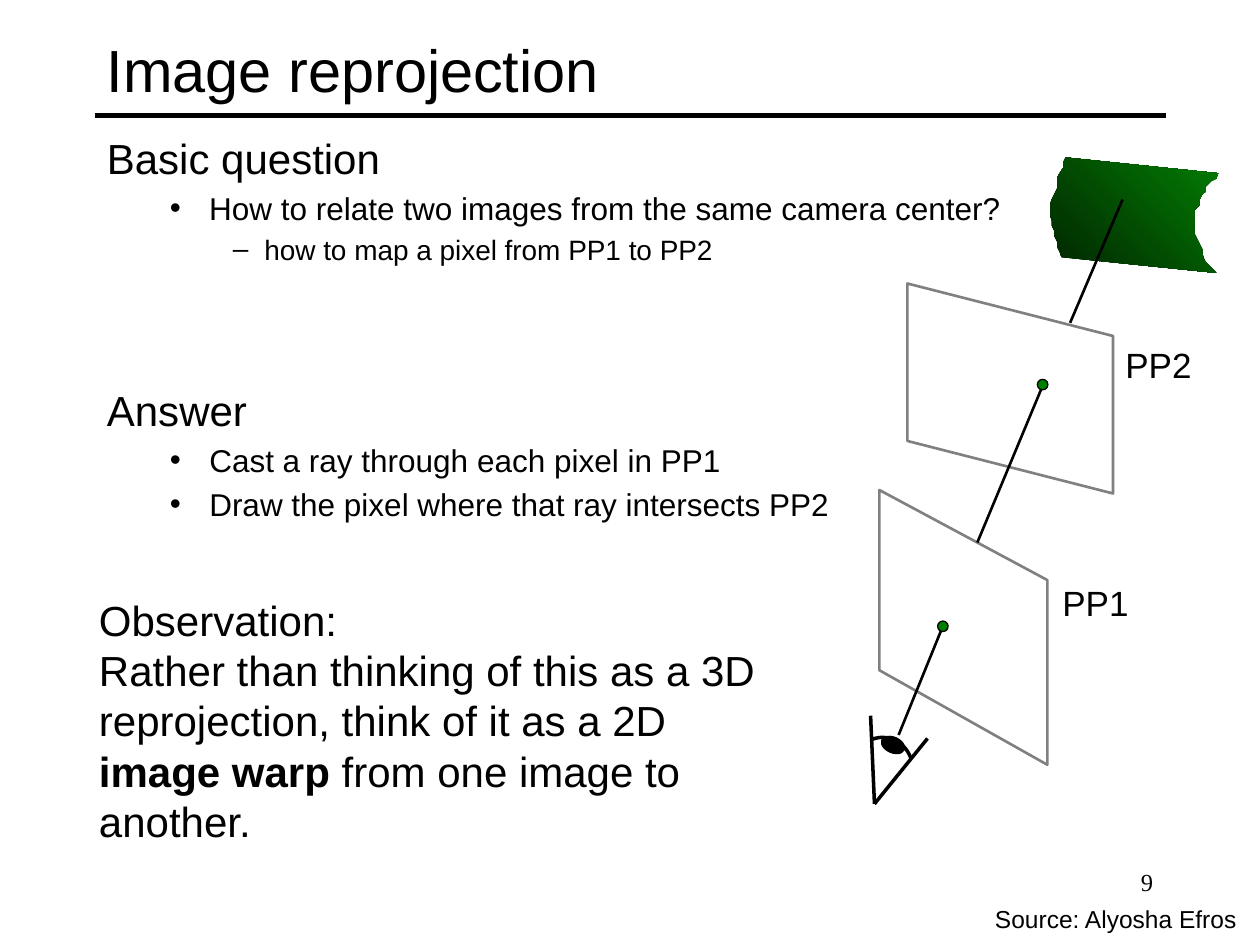
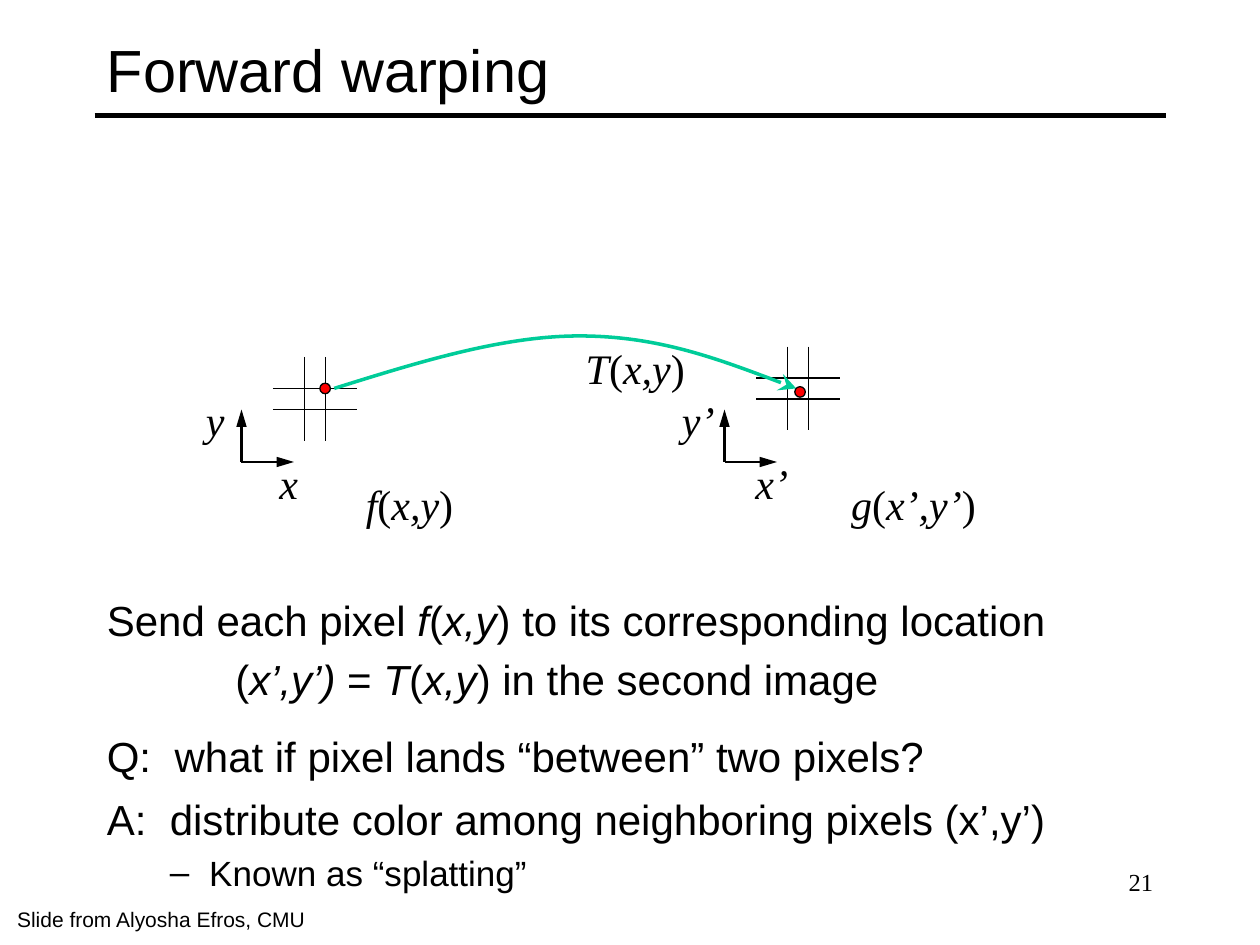
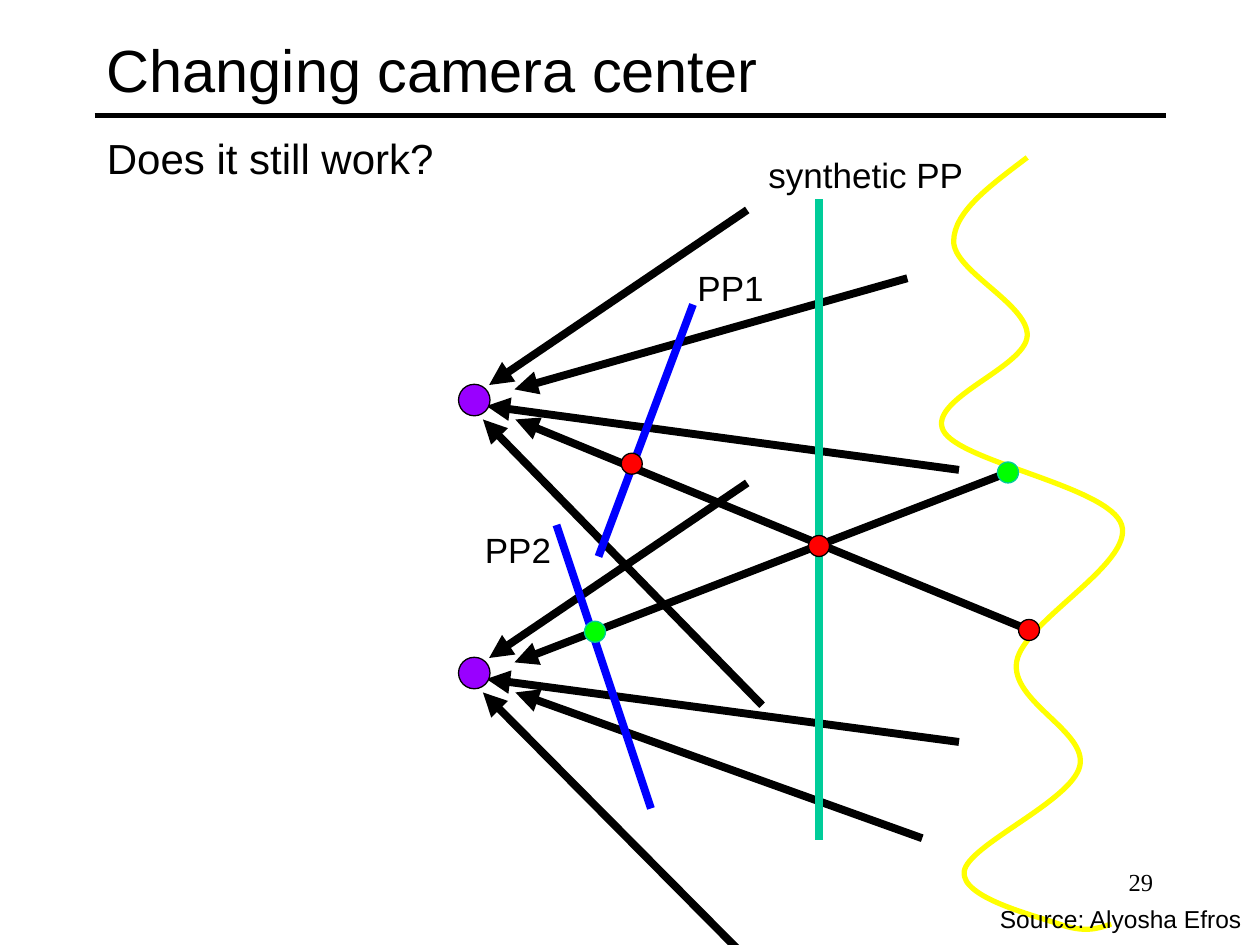
from lxml.etree import SubElement
from pptx import Presentation
from pptx.dml.color import RGBColor as RGB
from pptx.enum.shapes import MSO_CONNECTOR as LINK, MSO_SHAPE as SHAPE
from pptx.enum.text import MSO_ANCHOR as ANCHOR, PP_ALIGN as ALIGN
from pptx.oxml.ns import qn
from pptx.util import Pt

# Shared style
BLACK = RGB(0x00, 0x00, 0x00)
WHITE = RGB(0xFF, 0xFF, 0xFF)
GREY = RGB(0x80, 0x80, 0x80)
RED = RGB(0xFF, 0x00, 0x00)
GREEN = RGB(0x00, 0x80, 0x00)
LIME = RGB(0x00, 0xFF, 0x00)
TEAL = RGB(0x00, 0xCC, 0x99)
BLUE = RGB(0x00, 0x00, 0xFF)
PURPLE = RGB(0x99, 0x00, 0xFF)
YELLOW = RGB(0xFF, 0xFF, 0x00)
DARK = RGB(0x01, 0x25, 0x01)
LEAF = RGB(0x03, 0x7C, 0x03)
SANS, SERIF = "Arial", "Times New Roman"

# Outline levels of the body text
HEAD = dict(size=24, left=27, hang=27, gap=0.22)
ITEM = dict(size=18, left=58.5, hang=22.5, gap=0.2, bullet="•")
SUB = dict(size=16, left=90, hang=18, gap=0.2, bullet="–")
MATH = dict(size=24, font=SERIF, align=ALIGN.CENTER)

# Arrowheads
RAY = dict(type="triangle")
AXIS = dict(type="triangle", w="med", len="lg")
BARB = dict(type="stealth", w="lg", len="lg")


def write(frame, text, size=24, font=SANS, mark="italic", bullet=None,
          left=0, hang=0, gap=0, align=ALIGN.LEFT):
    """Add one paragraph; words between asterisks get the marked style."""
    para = frame.paragraphs[0]
    if para.runs:
        para = frame.add_paragraph()
        para.space_before = Pt(gap * size)
    props = para._p.get_or_add_pPr()
    props.set("marL", str(Pt(left)))
    props.set("indent", str(-Pt(hang)))
    if bullet:
        SubElement(props, qn("a:buFont"), typeface=SANS)
        SubElement(props, qn("a:buChar"), char=bullet)
    else:
        SubElement(props, qn("a:buNone"))
    para.alignment = align
    for i, part in enumerate(text.split("*")):
        if part:
            run = para.add_run()
            run.text = part
            run.font.size, run.font.name = Pt(size), font
            run.font.color.rgb = BLACK
            setattr(run.font, mark, i % 2 == 1)


class Deck:
    def __init__(self):
        self.prs = Presentation()
        self.prs.slide_width, self.prs.slide_height = Pt(720), Pt(540)

    def start(self, title, number):
        """New slide with title, rule and number."""
        self.shapes = self.prs.slides.add_slide(self.prs.slide_layouts[6]).shapes
        self.line((54, 66), (666, 66), width=3)
        frame = self.box(54, 6, 612, 66, anchor=ANCHOR.MIDDLE)
        write(frame, title, size=34)
        self.text(number, 516, 492, 150, 36, size=14, font=SERIF, align=ALIGN.RIGHT)

    def box(self, x, y, w, h, wrap=True, anchor=ANCHOR.TOP):
        frame = self.shapes.add_textbox(Pt(x), Pt(y), Pt(w), Pt(h)).text_frame
        frame.word_wrap, frame.vertical_anchor = wrap, anchor
        return frame

    def text(self, text, x, y, w, h, wrap=True, **form):
        write(self.box(x, y, w, h, wrap), text, **form)

    def label(self, text, x, y, w=52.5):
        self.text(text, x, y, w, 31, wrap=False, size=20)

    def source(self, x):
        self.text("Source: Alyosha Efros", x, 513, 201.5, 24.5, size=14)

    def list(self, x, y, w, h, *rows):
        frame = self.box(x, y, w, h)
        for text, form in rows:
            write(frame, text, **form)

    def paint(self, shape, fill, color, width, arrow=None):
        if fill:
            shape.fill.solid()
            shape.fill.fore_color.rgb = fill
        else:
            shape.fill.background()
        shape.shadow.inherit = False
        self.stroke(shape, color, width, arrow)

    def stroke(self, shape, color, width, arrow):
        if not color:
            shape.line.fill.background()
            return
        shape.line.color.rgb, shape.line.width = color, Pt(width)
        if arrow:
            SubElement(shape.element.spPr.find(qn("a:ln")), qn("a:tailEnd"), **arrow)

    def line(self, a, b, color=BLACK, width=1.5, arrow=None):
        link = self.shapes.add_connector(
            LINK.STRAIGHT, Pt(a[0]), Pt(a[1]), Pt(b[0]), Pt(b[1]))
        self.stroke(link, color, width, arrow)
        SubElement(link.element.spPr, qn("a:effectLst"))

    def dot(self, x, y, size, fill, color=BLACK, high=None, width=0.75, turn=0):
        high = high or size
        oval = self.shapes.add_shape(
            SHAPE.OVAL, Pt(x - size / 2), Pt(y - high / 2), Pt(size), Pt(high))
        oval.rotation = turn
        self.paint(oval, fill, color, width)

    def free(self, steps, fill=None, color=None, width=1.5, close=True, arrow=None):
        """Outline of points (x, y) and bends (control, control, end)."""
        ends = [step[-1] if len(step) == 3 else step for step in steps]
        spots = [(Pt(x), Pt(y)) for x, y in ends]
        pen = self.shapes.build_freeform(*spots[0])
        pen.add_line_segments(spots[1:], close=close)
        shape = pen.convert_to_shape()
        sides = list(shape.element.iter(qn("a:lnTo")))
        for side, step in zip(sides, steps[1:]):
            if len(step) == 3:
                side.tag = qn("a:cubicBezTo")
                side[:] = []
                for x, y in step:
                    SubElement(side, qn("a:pt"), x=str(Pt(x) - shape.left),
                               y=str(Pt(y) - shape.top))
        self.paint(shape, fill, color, width, arrow)
        return shape

    def cross(self, x, y):
        """Two by two pixel grid lines."""
        for d in (18, 30):
            self.line((x + d, y), (x + d, y + 48), width=0.75)
            self.line((x, y + d), (x + 48, y + d), width=0.75)

    def axes(self, x, y, prime=""):
        for tip in ((x, y - 30), (x + 30, y)):
            self.line((x, y), tip, arrow=AXIS)
        self.text(f"*x{prime}*", x, y - 6, 54, 36, **MATH)
        self.text(f"*y{prime}*", x - 42, y - 42, 54, 36, **MATH)


def image(deck):
    deck.start("Image reprojection", "9")
    deck.list(54, 72, 612, 414,
              ("Basic question", HEAD),
              ("How to relate two images from the same camera center?", ITEM),
              ("how to map a pixel from PP1 to PP2", SUB))
    # Scene surface
    edge = (609, 607.5, 607.5, 605.5, 604, 604, 604, 602.5, 601, 600,
            600, 600, 601, 601, 602.5, 602.5, 604, 604, 605.5, 606.5)
    torn = [(695, 156), (689, 150), (687.5, 147), (687, 142.5), (685.5, 139.5),
            (684, 136.5), (682.5, 133.5), (682.5, 120), (685.5, 117), (685.5, 114),
            (687, 111), (689, 109.5), (689, 106.5), (692, 103.5), (695, 102), (696, 99)]
    scene = deck.free([(x, 90 + 3 * i) for i, x in enumerate(edge)] + torn, fill=DARK)
    scene.fill.gradient()
    scene.fill.gradient_angle = 45
    for stop, tone in zip(scene.fill.gradient_stops, (DARK, LEAF)):
        stop.color.rgb = tone
    # Projection planes
    for plane in ([(636, 192), (518.5, 162), (518.5, 252), (636, 282)],
                  [(502.5, 383), (598.5, 437), (598.5, 331.5), (502.5, 280)]):
        deck.free(plane, fill=WHITE, color=GREY)
    deck.label("PP2", 636, 193)
    deck.label("PP1", 600, 329)
    # Eye
    apex = (499.7, 459.4)
    arc = [(498.2, 422.6), ((506.9, 419), (517, 423.4), (520.6, 433.4))]
    deck.free(arc + [apex], fill=WHITE)
    deck.free(arc, color=BLACK, width=2, close=False)
    deck.line((497.5, 409), apex, width=2)
    deck.dot(510.3, 425.7, 8.6, BLACK, high=13.7, width=1, turn=294)
    deck.line(apex, (530, 422), width=2)
    # Ray and its pixels
    for a, b in (((611.5, 184.5), (641.5, 114)), ((558.5, 310), (596, 220)),
                 ((513.5, 420), (538.5, 358.5))):
        deck.line(a, b)
    for x, y in ((595.8, 219.8), (538.8, 357.9)):
        deck.dot(x, y, 6, GREEN)
    # Answer and remark
    deck.list(54, 216, 486, 96,
              ("Answer", HEAD),
              ("Cast a ray through each pixel in PP1", ITEM),
              ("Draw the pixel where that ray intersects PP2", ITEM))
    bold = dict(mark="bold")
    deck.list(49.5, 336, 391, 152.5,
              ("Observation:", bold),
              ("Rather than thinking of this as a 3D reprojection, think of it as a 2D "
               "*image warp* from one image to another.", bold))
    deck.source(561.5)


def warp(deck):
    deck.start("Forward warping", "21")
    # Both pixel grids with their axes
    deck.cross(156, 204)
    deck.cross(432, 198)
    deck.axes(138, 264)
    deck.axes(414, 264, "’")
    deck.text("*f*(*x,y*)", 192, 270, 84, 36, **MATH)
    deck.text("*g*(*x’,y’*)", 468, 270, 108, 36, **MATH)
    # Mapping
    deck.free([(191, 222), ((239, 207), (287, 192), (331, 192)),
               ((376, 192), (415.5, 207), (455, 222))],
              color=TEAL, width=2, close=False, arrow=BARB)
    deck.text("*T*(*x,y*)", 318, 192, 90, 36, **MATH)
    deck.dot(185.8, 222, 6, RED)
    deck.dot(457.2, 224, 6, RED)
    # Explanation
    deck.list(54, 336, 612, 150,
              ("Send each pixel *f*(*x,y*) to its corresponding location", HEAD),
              ("(*x’,y’) *= *T*(*x,y*) in the second image", HEAD | dict(left=73.4, hang=0)))
    deck.text("Q:\twhat if pixel lands “between” two pixels?", 54, 414, 612, 72,
              left=38.7, hang=38.7)
    deck.list(54, 450, 612, 72,
              ("A:\tdistribute color among neighboring pixels (x’,y’)",
               HEAD | dict(left=36, hang=36)),
              ("Known as “splatting”", ITEM | dict(size=20, bullet="–")))
    deck.text("Slide from Alyosha Efros, CMU", 2.7, 514.7, 193, 21.5, size=12)


def center(deck):
    deck.start("Changing camera center", "29")
    deck.text("Does it still work?", 54, 72, 612, 42, **HEAD)
    # Rays into both cameras
    tips = ((294, 222.5), (278, 232), (294.5, 239.7), (279.5, 220), (276, 239.7))
    fans = (((518.5, 159), (548, 268.5), (588, 360), (427, 120), (435.5, 403)),
            ((576, 270), (548, 424), (527, 479), (427, 276), (437, 558)))
    for i, fan in enumerate(fans):
        drop = 156 * i
        for far, (x, y) in zip(fan, tips):
            deck.line(far, (x, y + drop), width=4.5, arrow=RAY)
        deck.dot(271, 228.6 + drop, 18, PURPLE)
    # Scene outline
    deck.free([(587, 90),
               ((566, 106), (545, 121), (545, 138)),
               ((545, 155), (588, 174), (587, 192)),
               ((586, 210), (530, 228), (539, 246)),
               ((548, 264), (634, 278), (641, 300)),
               ((648, 322), (585, 355), (581, 378)),
               ((577, 401), (622, 418), (617, 438)),
               ((612, 458), (553, 483), (551, 498)),
               ((549, 513), (591, 523), (605, 528)),
               ((619, 533), (627, 531), (635, 528))],
              color=YELLOW, width=3, close=False)
    # Projection planes
    for a, b, tone in (((468, 114), (468, 480), TEAL),
                       ((396, 174), (342, 318), BLUE),
                       ((318, 300), (372, 462), BLUE)):
        deck.line(a, b, color=tone, width=4.5)
    deck.label("synthetic PP", 432, 84, 126)
    deck.label("PP1", 391.5, 149)
    deck.label("PP2", 270, 298.6)
    # Matching points
    for x, y in ((361, 265), (588, 360), (468, 312)):
        deck.dot(x, y, 12, RED)
    for x, y in ((340, 361), (576, 270)):
        deck.dot(x, y, 12, LIME, TEAL)
    deck.source(564.3)


def main():
    deck = Deck()
    for build in (image, warp, center):
        build(deck)
    deck.prs.save("out.pptx")


if __name__ == "__main__":
    main()
